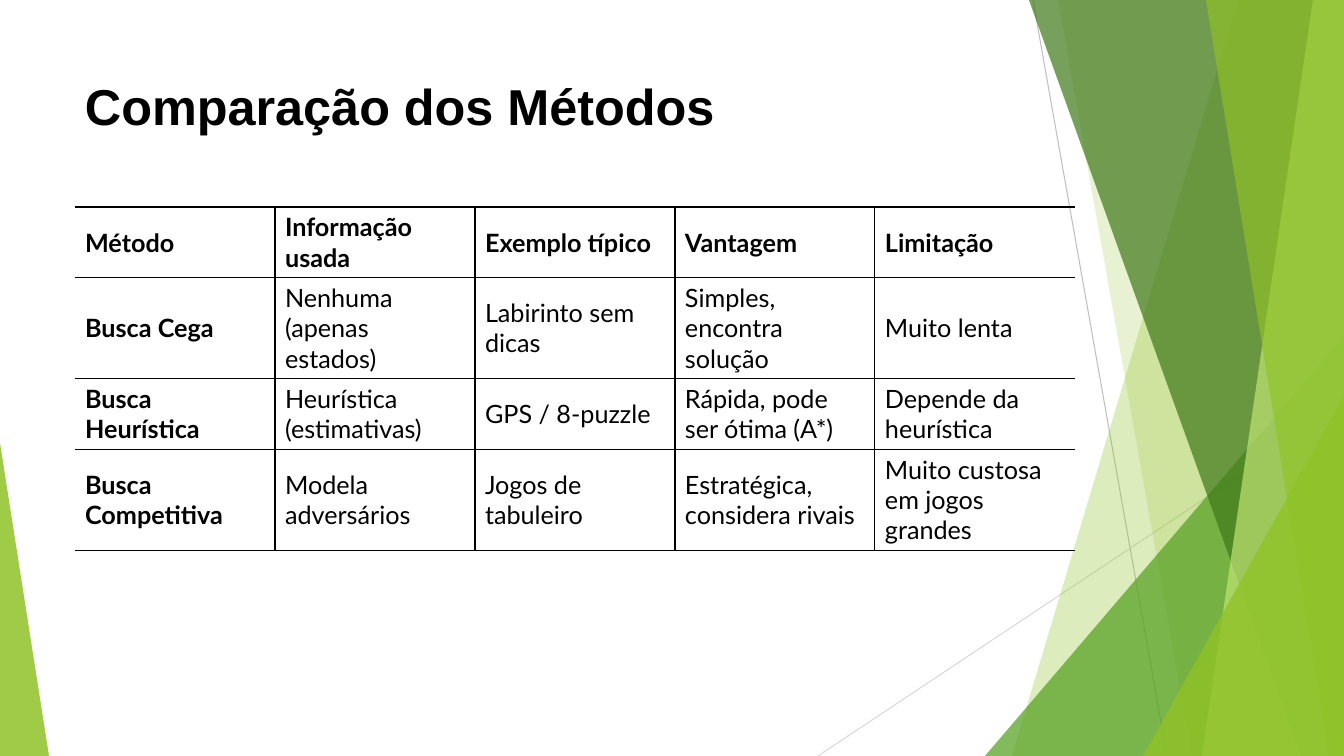
from dataclasses import dataclass

from lxml import etree
from pptx import Presentation
from pptx import util as u
from pptx.dml.color import RGBColor
from pptx.enum import shapes, text
from pptx.oxml.ns import qn

EMU_PER_PX = 914400 / 100.8
WIDTH, HEIGHT = 1344, 756


@dataclass(frozen=True)
class Theme:
    ink: str = "000000"
    lime: str = "90C226"
    leaf: str = "54A021"
    forest: str = "3F7819"
    pale: str = "C0E474"
    dark_ray: str = "BFBFBF"
    light_ray: str = "D9D9D9"
    title_font: str = "Arial"
    table_font: str = "Lato"
    title_pt: int = 36
    table_pt: int = 18
    ray_pt: float = 0.75
    border_pt: int = 1


@dataclass(frozen=True)
class Ray:
    start: tuple[int, int]
    end: tuple[int, int]
    color: str


@dataclass(frozen=True)
class Blade:
    top_x: int
    bottom_x: int
    color: str
    opacity: int


@dataclass(frozen=True)
class Wedge:
    left: int
    top: int
    width: int
    apex: int
    color: str
    opacity: int


THEME = Theme()

RAYS = [
    Ray((1033, 0), (1167, HEIGHT), THEME.dark_ray),
    Ray((WIDTH, 406), (818, HEIGHT), THEME.light_ray),
]

FACETS = [
    Blade(1238, 1012, THEME.lime, 30),
    Blade(1058, 1192, THEME.lime, 20),
    Wedge(985, 336, 359, 1, THEME.leaf, 72),
    Blade(1029, 1301, THEME.forest, 70),
    Blade(1313, 1202, THEME.pale, 70),
    Blade(1206, 1329, THEME.lime, 65),
    Wedge(1143, 396, 201, 1, THEME.lime, 80),
    Wedge(0, 443, 49, 0, THEME.lime, 85),
]

METHODS = [
    ["Método", "Informação usada", "Exemplo típico", "Vantagem", "Limitação"],
    ["Busca Cega", "Nenhuma (apenas estados)", "Labirinto sem dicas",
     "Simples, encontra solução", "Muito lenta"],
    ["Busca Heurística", "Heurística (estimativas)", "GPS / 8-puzzle",
     "Rápida, pode ser ótima (A*)", "Depende da heurística"],
    ["Busca Competitiva", "Modela adversários", "Jogos de tabuleiro",
     "Estratégica, considera rivais", "Muito custosa em jogos grandes"],
]
ROW_HEIGHTS = [70, 101, 70, 101]
COLUMN_WIDTH = 200


def px(length: int) -> u.Emu:
    return u.Emu(round(length * EMU_PER_PX))


def style_font(paragraph, name: str, size: int, bold: bool) -> None:
    font = paragraph.font
    font.name, font.size, font.bold = name, u.Pt(size), bold
    font.color.rgb = RGBColor.from_string(THEME.ink)


def draw_ray(slide, ray: Ray) -> None:
    line = slide.shapes.add_connector(
        shapes.MSO_CONNECTOR.STRAIGHT, *map(px, ray.start + ray.end))
    line.line.color.rgb = RGBColor.from_string(ray.color)
    line.line.width = u.Pt(THEME.ray_pt)
    etree.SubElement(line._element.spPr, qn("a:effectLst"))


def draw_facet(slide, facet: Blade | Wedge) -> None:
    if isinstance(facet, Blade):
        outline = slide.shapes.build_freeform(facet.top_x, 0, scale=EMU_PER_PX)
        outline.add_line_segments(
            [(WIDTH, 0), (WIDTH, HEIGHT), (facet.bottom_x, HEIGHT)], close=True)
        shape = outline.convert_to_shape()
    else:
        shape = slide.shapes.add_shape(
            shapes.MSO_SHAPE.ISOSCELES_TRIANGLE, px(facet.left), px(facet.top),
            px(facet.width), px(HEIGHT - facet.top))
        shape.adjustments[0] = facet.apex
    shape.shadow.inherit = False
    shape.line.fill.background()
    shape.fill.solid()
    shape.fill.fore_color.rgb = RGBColor.from_string(facet.color)
    color = shape._element.spPr.find(f"{qn('a:solidFill')}/{qn('a:srgbClr')}")
    etree.SubElement(color, qn("a:alpha"), val=str(facet.opacity * 1000))


def draw_title(slide, wording: str) -> None:
    frame = slide.shapes.add_textbox(px(75), px(68), px(948), px(75)).text_frame
    frame.word_wrap = True
    frame.vertical_anchor = text.MSO_ANCHOR.MIDDLE
    frame.text = wording
    style_font(frame.paragraphs[0], THEME.title_font, THEME.title_pt, True)


def set_borders(cell, hidden: set[str]) -> None:
    properties = cell._tc.get_or_add_tcPr()
    for side in "LRTB":
        border = etree.SubElement(
            properties, qn(f"a:ln{side}"), w=str(u.Pt(THEME.border_pt)))
        if side in hidden:
            etree.SubElement(border, qn("a:noFill"))
        else:
            fill = etree.SubElement(border, qn("a:solidFill"))
            etree.SubElement(fill, qn("a:srgbClr"), val=THEME.ink)


def draw_comparison(slide, rows: list[list[str]]) -> None:
    last = len(rows[0]) - 1
    table = slide.shapes.add_table(
        len(rows), last + 1, px(75), px(207),
        px(COLUMN_WIDTH * (last + 1)), px(sum(ROW_HEIGHTS))).table
    table.first_row = table.horz_banding = False
    for column in table.columns:
        column.width = px(COLUMN_WIDTH)
    for r, (row, height) in enumerate(zip(rows, ROW_HEIGHTS)):
        table.rows[r].height = px(height)
        for c, wording in enumerate(row):
            cell = table.cell(r, c)
            cell.text = wording
            cell.vertical_anchor = text.MSO_ANCHOR.MIDDLE
            style_font(cell.text_frame.paragraphs[0], THEME.table_font,
                       THEME.table_pt, r == 0 or c == 0)
            set_borders(cell, {0: {"L"}, last: {"R"}}.get(c, set()))
            cell.fill.background()


def main() -> None:
    deck = Presentation()
    deck.slide_width, deck.slide_height = px(WIDTH), px(HEIGHT)
    slide = deck.slides.add_slide(deck.slide_layouts[6])
    for ray in RAYS:
        draw_ray(slide, ray)
    for facet in FACETS:
        draw_facet(slide, facet)
    draw_title(slide, "Comparação dos Métodos")
    draw_comparison(slide, METHODS)
    deck.save("out.pptx")


if __name__ == "__main__":
    main()
